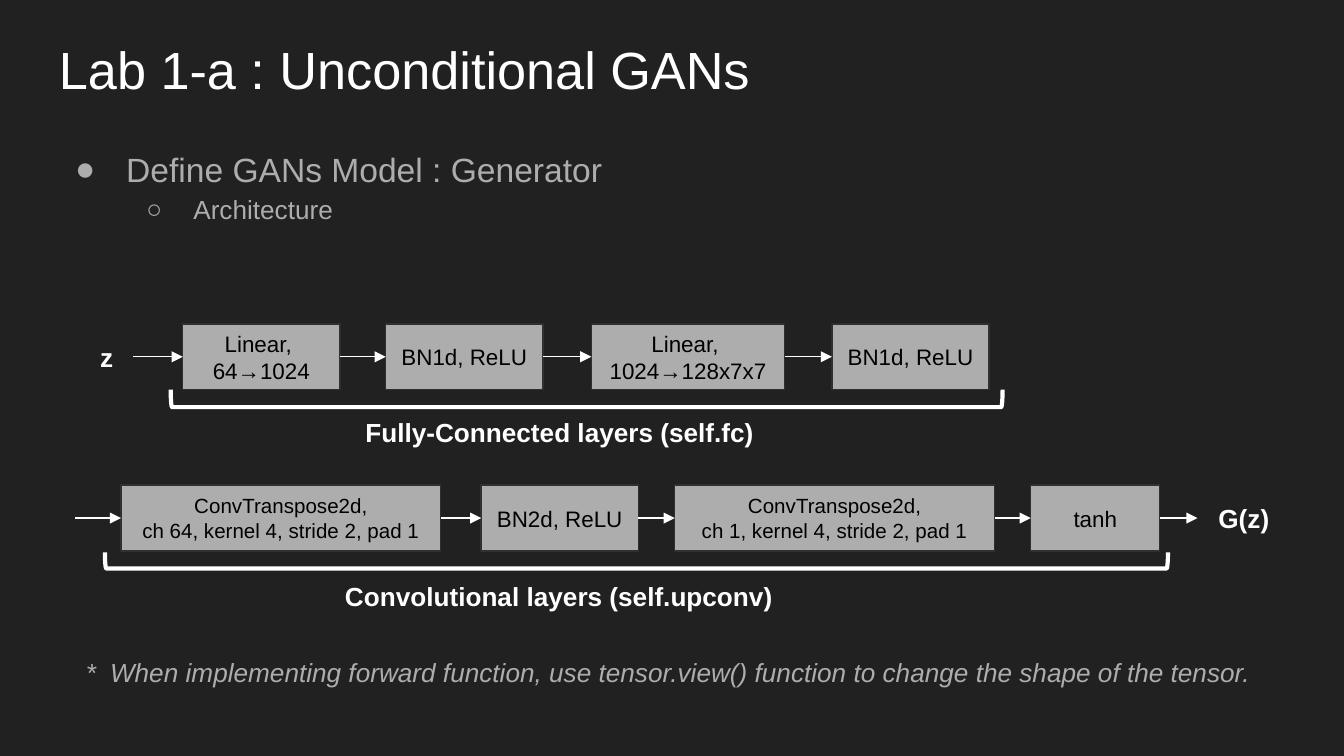
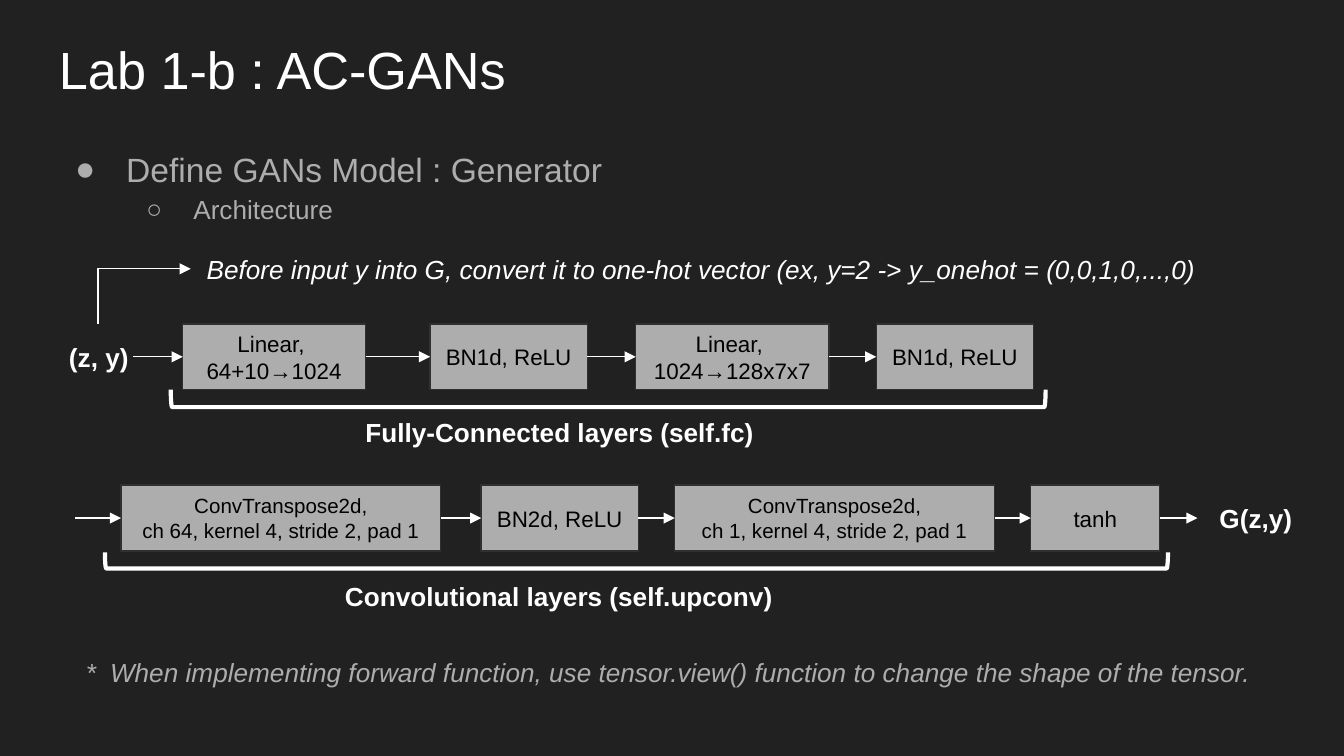
from dataclasses import dataclass
from itertools import pairwise
from typing import Any

from lxml.etree import SubElement
from pptx import Presentation
from pptx.dml.color import RGBColor
from pptx.enum.shapes import MSO_CONNECTOR, MSO_SHAPE
from pptx.enum.text import MSO_ANCHOR, PP_ALIGN
from pptx.oxml.ns import qn
from pptx.util import Emu, Pt

SCALE = 9144
FONT = "Arial"
HUES = {
    "back": "212121",
    "text": "FFFFFF",
    "soft": "ADADAD",
    "edge": "303030",
    "ink": "000000",
}
HIGH = 49
FC_TOP = 241
UP_TOP = 361


@dataclass(frozen=True)
class Box:
    left: int
    width: int
    text: str
    size: int = 12


@dataclass(frozen=True)
class Label:
    left: int
    top: int
    width: int
    text: str
    high: int = HIGH
    size: int = 14
    hue: str = "text"
    bold: bool = False
    slant: bool = False
    align: Any = PP_ALIGN.CENTER
    anchor: Any = MSO_ANCHOR.MIDDLE


@dataclass(frozen=True)
class Brace:
    left: int
    top: int
    width: int
    high: int


@dataclass(frozen=True)
class Page:
    title: str
    source: Label
    result: Label
    chain: list[Box]
    brace: Brace
    hint: Label | None = None


def px(size: float) -> Emu:
    return Emu(round(size * SCALE))


def tint(name: str) -> RGBColor:
    return RGBColor.from_string(HUES[name])


def style(par: Any, size: int, hue: str, bold: bool = False, slant: bool = False) -> None:
    for run in par.runs:
        font = run.font
        font.name = FONT
        font.size = Pt(size)
        font.bold = bold
        font.italic = slant
        font.color.rgb = tint(hue)


def setup(frame: Any, anchor: Any) -> None:
    frame.word_wrap = True
    frame.vertical_anchor = anchor
    frame.margin_left = frame.margin_right = px(10)
    frame.margin_top = frame.margin_bottom = px(10)


def indent(par: Any, margin: int, hang: int) -> Any:
    props = par._p.get_or_add_pPr()
    props.set("marL", str(px(margin)))
    props.set("indent", str(px(-hang)))
    return props


def add_label(slide: Any, item: Label) -> Any:
    shape = slide.shapes.add_textbox(px(item.left), px(item.top), px(item.width), px(item.high))
    frame = shape.text_frame
    setup(frame, item.anchor)
    frame.text = item.text
    for par in frame.paragraphs:
        par.alignment = item.align
        style(par, item.size, item.hue, item.bold, item.slant)
    return frame


def add_box(slide: Any, box: Box, top: int) -> None:
    shape = slide.shapes.add_shape(
        MSO_SHAPE.RECTANGLE, px(box.left), px(top), px(box.width), px(HIGH)
    )
    shape.shadow.inherit = False
    shape.fill.solid()
    shape.fill.fore_color.rgb = tint("soft")
    shape.line.color.rgb = tint("edge")
    shape.line.width = Pt(0.75)
    frame = shape.text_frame
    setup(frame, MSO_ANCHOR.MIDDLE)
    frame.text = box.text
    for par in frame.paragraphs:
        par.alignment = PP_ALIGN.CENTER
        style(par, box.size, "ink")


def add_line(slide: Any, start: tuple, stop: tuple, end: str = "tailEnd", bent: bool = False) -> None:
    kind = MSO_CONNECTOR.ELBOW if bent else MSO_CONNECTOR.STRAIGHT
    line = slide.shapes.add_connector(kind, *map(px, start + stop))
    line.line.color.rgb = tint("text")
    line.line.width = Pt(0.75)
    props = line._element.spPr
    SubElement(line.line._get_or_add_ln(), qn(f"a:{end}"), type="triangle")
    SubElement(props, qn("a:effectLst"))
    if bent:
        props.find(qn("a:prstGeom")).set("prst", "bentConnector2")


def add_chain(slide: Any, boxes: list[Box], top: int, start: int, stop: int | None = None) -> None:
    mid = top + HIGH / 2
    for box in boxes:
        add_box(slide, box, top)
    add_line(slide, (start, mid), (boxes[0].left, mid))
    for one, two in pairwise(boxes):
        add_line(slide, (one.left + one.width, mid), (two.left, mid))
    if stop is not None:
        add_line(slide, (boxes[-1].left + boxes[-1].width, mid), (stop, mid))


def add_brace(slide: Any, item: Brace) -> None:
    shift = (item.width - item.high) / 2
    shape = slide.shapes.add_shape(
        MSO_SHAPE.RIGHT_BRACKET,
        px(item.left + shift), px(item.top - shift), px(item.high), px(item.width),
    )
    shape.rotation = 90
    shape.shadow.inherit = False
    shape.fill.background()
    shape.line.color.rgb = tint("text")
    shape.line.width = Pt(2.25)


def add_list(slide: Any) -> None:
    rows = [
        ("Define GANs Model : Generator", 18, "●", 50, 38),
        ("Architecture", 14, "○", 100, 35),
    ]
    text = "\n".join(row[0] for row in rows)
    frame = add_label(slide, Label(
        34, 96, 932, text, 374, hue="soft", align=PP_ALIGN.LEFT, anchor=MSO_ANCHOR.TOP
    ))
    for level, (par, row) in enumerate(zip(frame.paragraphs, rows)):
        _, size, mark, margin, hang = row
        par.level = level
        par.line_spacing = 1.15
        style(par, size, "soft")
        props = indent(par, margin, hang)
        color = SubElement(props, qn("a:buClr"))
        SubElement(color, qn("a:srgbClr"), val=HUES["soft"])
        SubElement(props, qn("a:buFont"), typeface=FONT)
        SubElement(props, qn("a:buChar"), char=mark)


def add_note(slide: Any) -> None:
    text = (
        "*\tWhen implementing forward function, use tensor.view() function "
        "to change the shape of the tensor."
    )
    frame = add_label(slide, Label(
        54, 475, 892, text, hue="soft", slant=True,
        align=PP_ALIGN.JUSTIFY, anchor=MSO_ANCHOR.TOP,
    ))
    par = frame.paragraphs[0]
    par.line_spacing = 1.15
    par.space_after = Pt(16)
    indent(par, 18, 18)


def dense(first: str, width: int, shift: int) -> list[Box]:
    return [
        Box(136, width, f"Linear, \n{first}→1024"),
        Box(287 + shift, 117, "BN1d, ReLU"),
        Box(440 + shift, 144, "Linear, \n1024→128x7x7"),
        Box(619 + shift, 117, "BN1d, ReLU"),
    ]


def conv(left: int, depth: int) -> Box:
    return Box(left, 238, f"ConvTranspose2d,\nch {depth}, kernel 4, stride 2, pad 1", 11)


UPCONV = [conv(90, 64), Box(358, 117, "BN2d, ReLU"), conv(502, 1), Box(767, 96, "tanh")]
NAMES = [
    Label(227, 297, 379, "Fully-Connected layers (self.fc)", bold=True),
    Label(181, 419, 470, "Convolutional layers (self.upconv)", bold=True),
]
PAGES = [
    Page(
        "Lab 1-a : Unconditional GANs",
        Label(51, FC_TOP, 57, "z", bold=True),
        Label(891, UP_TOP, 69, "G(z)", bold=True),
        dense("64", 117, 0),
        Brace(127, 290, 619, 13),
    ),
    Page(
        "Lab 1-b : AC-GANs",
        Label(39, FC_TOP, 69, "(z, y)", bold=True),
        Label(891, UP_TOP, 87, "G(z,y)", bold=True),
        dense("64+10", 136, 33),
        Brace(127, 290, 651, 13),
        Label(
            137, 176, 770,
            "Before input y into G, convert it to one-hot vector "
            "(ex, y=2 -> y_onehot = (0,0,1,0,...,0)",
            slant=True,
        ),
    ),
]


def add_page(deck: Any, page: Page) -> None:
    slide = deck.slides.add_slide(deck.slide_layouts[6])
    slide.background.fill.solid()
    slide.background.fill.fore_color.rgb = tint("back")
    add_label(slide, Label(
        34, 18, 932, page.title, 63, 28, align=PP_ALIGN.LEFT, anchor=MSO_ANCHOR.TOP
    ))
    add_list(slide)
    add_chain(slide, page.chain, FC_TOP, 99)
    add_chain(slide, UPCONV, UP_TOP, 56, 891)
    for brace in (page.brace, Brace(78, 411, 791, 12)):
        add_brace(slide, brace)
    for label in (page.source, page.result, *NAMES):
        add_label(slide, label)
    if page.hint:
        add_label(slide, page.hint)
        add_line(slide, (142, 200), (73, FC_TOP), "headEnd", True)
    add_note(slide)


def main() -> None:
    deck = Presentation()
    deck.slide_width = px(1000)
    deck.slide_height = px(562.5)
    for page in PAGES:
        add_page(deck, page)
    deck.save("out.pptx")


if __name__ == "__main__":
    main()
